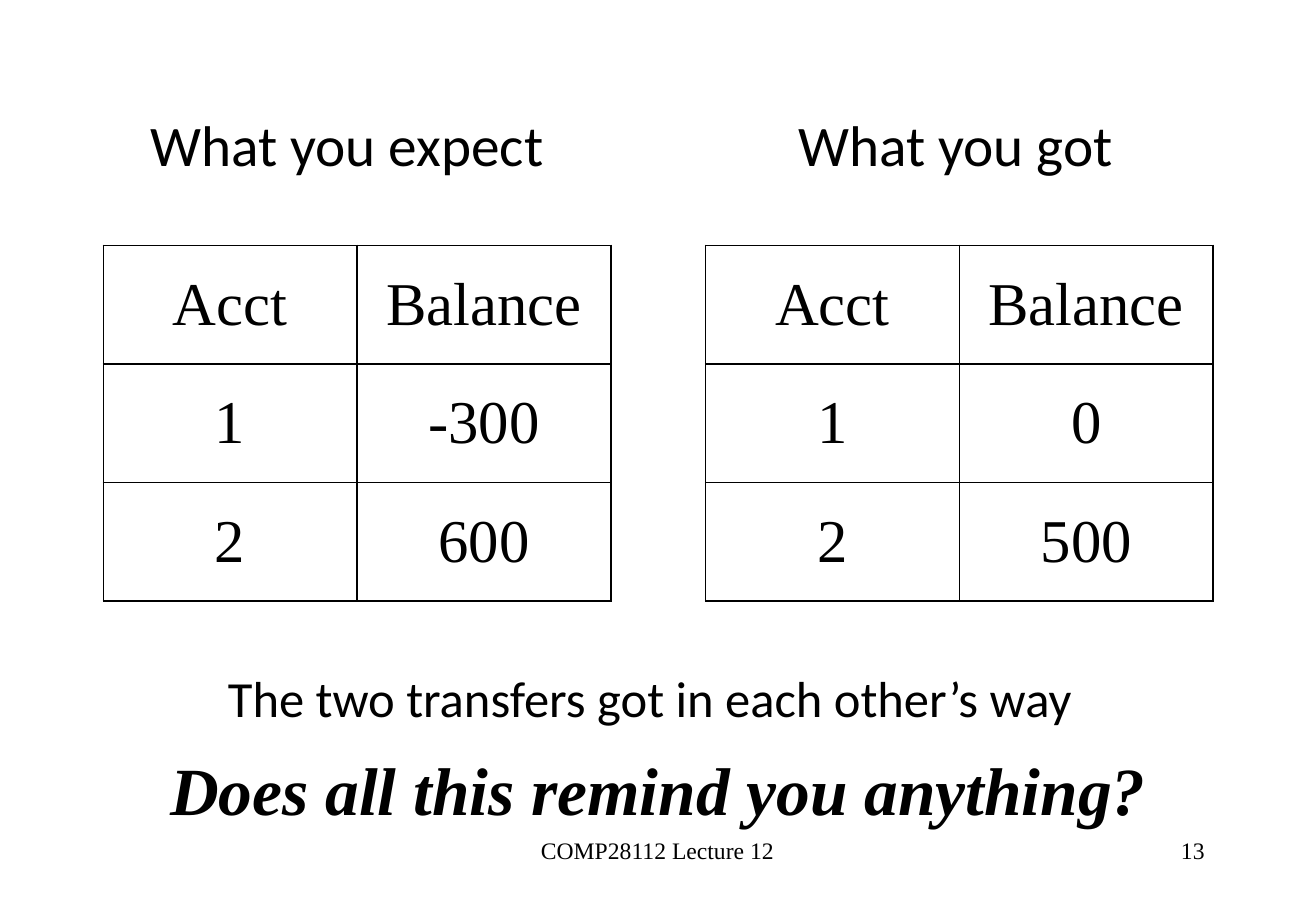
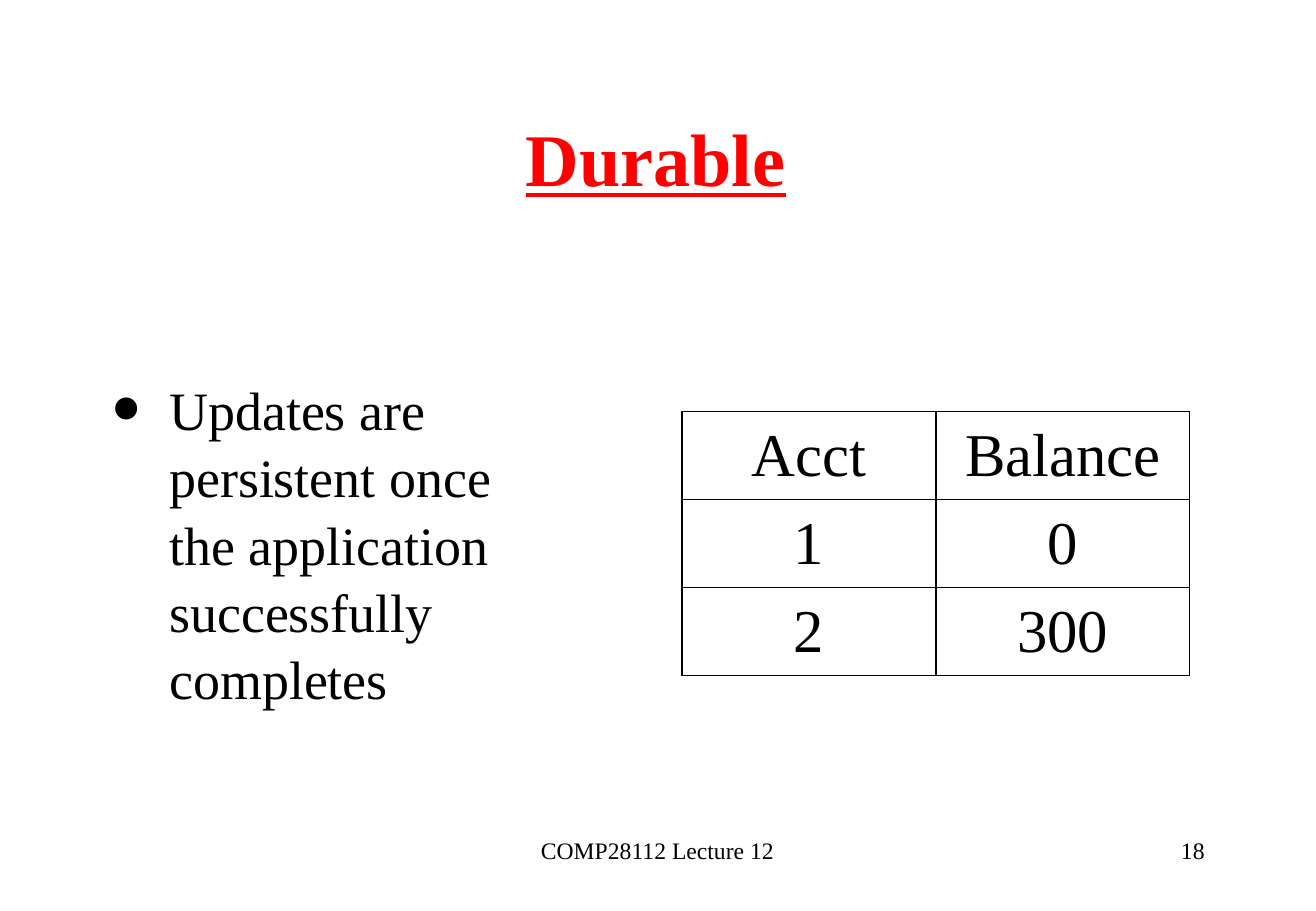
from dataclasses import dataclass

from lxml import etree
from pptx import Presentation
from pptx import util as u
from pptx.dml.color import RGBColor
from pptx.enum import text
from pptx.oxml.ns import qn


@dataclass(frozen=True)
class Theme:
    ink: str = "000000"
    accent: str = "FF0000"
    serif: str = "Times New Roman"
    sans: str = "Calibri"
    footer: int = 14
    note: int = 30
    body: int = 32
    heading: int = 34
    table: int = 36
    question: int = 40
    title: int = 44
    rule: float = 0.96


THEME = Theme()
CENTER = text.PP_ALIGN.CENTER
MIDDLE = text.MSO_ANCHOR.MIDDLE
WIDTH, HEIGHT = 27.53, 19.05
COLUMN_WIDTH = 5.31
PADDING = (0.25, 0.13, 0.25, 0.13)
FLUSH = (0, 0, 0, 0)

FOOTER = "COMP28112 Lecture 12"
HEADER = ("Acct", "Balance")
OUTCOMES = [
    ("What you expect", [("1", "-300"), ("2", "600")]),
    ("What you got", [("1", "0"), ("2", "500")]),
]
CONCLUSION = "The two transfers got in each other’s way"
QUESTION = "Does all this remind you anything?"
TITLE = "Durable"
POINT = "Updates are persistent once the application successfully completes"
DURABLE_ROWS = [("1", "0"), ("2", "300")]


def write(para, words, size, face=THEME.serif, color=THEME.ink,
          align=CENTER, **style):
    para.alignment = align
    span = para.add_run()
    span.text = words
    font = span.font
    font.size, font.name = u.Pt(size), face
    font.color.rgb = RGBColor.from_string(color)
    for name, value in style.items():
        setattr(font, name, value)


def add_text(page, place, words, size, insets=FLUSH, anchor=MIDDLE, **style):
    box = page.shapes.add_textbox(*map(u.Cm, place))
    frame = box.text_frame
    frame.word_wrap = True
    frame.vertical_anchor = anchor
    (frame.margin_left, frame.margin_top,
     frame.margin_right, frame.margin_bottom) = map(u.Cm, insets)
    para = frame.paragraphs[0]
    write(para, words, size, **style)
    return para


def add_bullet(para, hanging, indent, percent):
    props = para._p.get_or_add_pPr()
    props.set("marL", str(u.Cm(indent)))
    props.set("indent", str(-u.Cm(hanging)))
    color = etree.SubElement(props, qn("a:buClr"))
    etree.SubElement(color, qn("a:srgbClr"), val=THEME.ink)
    etree.SubElement(props, qn("a:buSzPct"), val=str(percent * 1000))
    etree.SubElement(props, qn("a:buFont"), typeface=THEME.serif)
    etree.SubElement(props, qn("a:buChar"), char="•")


def add_borders(cell):
    props = cell._tc.get_or_add_tcPr()
    for side in ("lnL", "lnR", "lnT", "lnB"):
        line = etree.SubElement(props, qn(f"a:{side}"),
                                w=str(u.Pt(THEME.rule)))
        fill = etree.SubElement(line, qn("a:solidFill"))
        etree.SubElement(fill, qn("a:srgbClr"), val=THEME.ink)


def add_accounts(page, left, top, row_height, accounts):
    rows = [HEADER, *accounts]
    table = page.shapes.add_table(
        len(rows), len(HEADER), u.Cm(left), u.Cm(top),
        u.Cm(COLUMN_WIDTH * len(HEADER)), u.Cm(row_height * len(rows))).table
    table.first_row = table.horz_banding = False
    for column in table.columns:
        column.width = u.Cm(COLUMN_WIDTH)
    for row, values in zip(table.rows, rows):
        row.height = u.Cm(row_height)
        for cell, value in zip(row.cells, values):
            cell.vertical_anchor = MIDDLE
            cell.margin_left = cell.margin_right = u.Cm(0.1)
            cell.margin_top = cell.margin_bottom = u.Cm(0.13)
            add_borders(cell)
            cell.fill.background()
            write(cell.text_frame.paragraphs[0], value, THEME.table)


def add_page(deck, number):
    page = deck.slides.add_slide(deck.slide_layouts[6])
    for left, width, words, align in (
            (9.4, 8.71, FOOTER, CENTER),
            (19.71, 5.74, number, text.PP_ALIGN.RIGHT)):
        add_text(page, (left, 17.35, width, 1.27), words, THEME.footer,
                 PADDING, text.MSO_ANCHOR.TOP, align=align)
    return page


def build_outcomes(deck):
    page = add_page(deck, "13")
    for index, (heading, accounts) in enumerate(OUTCOMES):
        add_text(page, (1.38 + index * 12.73, 2.26, 11.76, 1.5), heading,
                 THEME.heading, face=THEME.sans)
        add_accounts(page, 2.16 + index * 12.6, 5.13, 2.48, accounts)
    add_text(page, (0.76, 13.92, 25.68, 1.32), CONCLUSION, THEME.note,
             face=THEME.sans)
    add_text(page, (0, 15.52, WIDTH, 1.96), QUESTION, THEME.question,
             PADDING, text.MSO_ANCHOR.TOP, bold=True, italic=True)


def build_durable(deck):
    page = add_page(deck, "18")
    add_text(page, (2.06, 1.7, 23.39, 3.18), TITLE, THEME.title,
             (0.36, 0, 0.43, 0), color=THEME.accent, bold=True,
             underline=True)
    point = add_text(page, (1.63, 5.74, 10.01, 11.2), POINT, THEME.body,
                     (0.13, 0, 0.13, 0), align=text.PP_ALIGN.LEFT)
    point.line_spacing = 1.04
    add_bullet(point, hanging=1.22, indent=1.78, percent=171)
    add_accounts(page, 14.27, 8.61, 1.84, DURABLE_ROWS)


def main():
    deck = Presentation()
    deck.slide_width, deck.slide_height = u.Cm(WIDTH), u.Cm(HEIGHT)
    build_outcomes(deck)
    build_durable(deck)
    deck.save("out.pptx")


if __name__ == "__main__":
    main()
